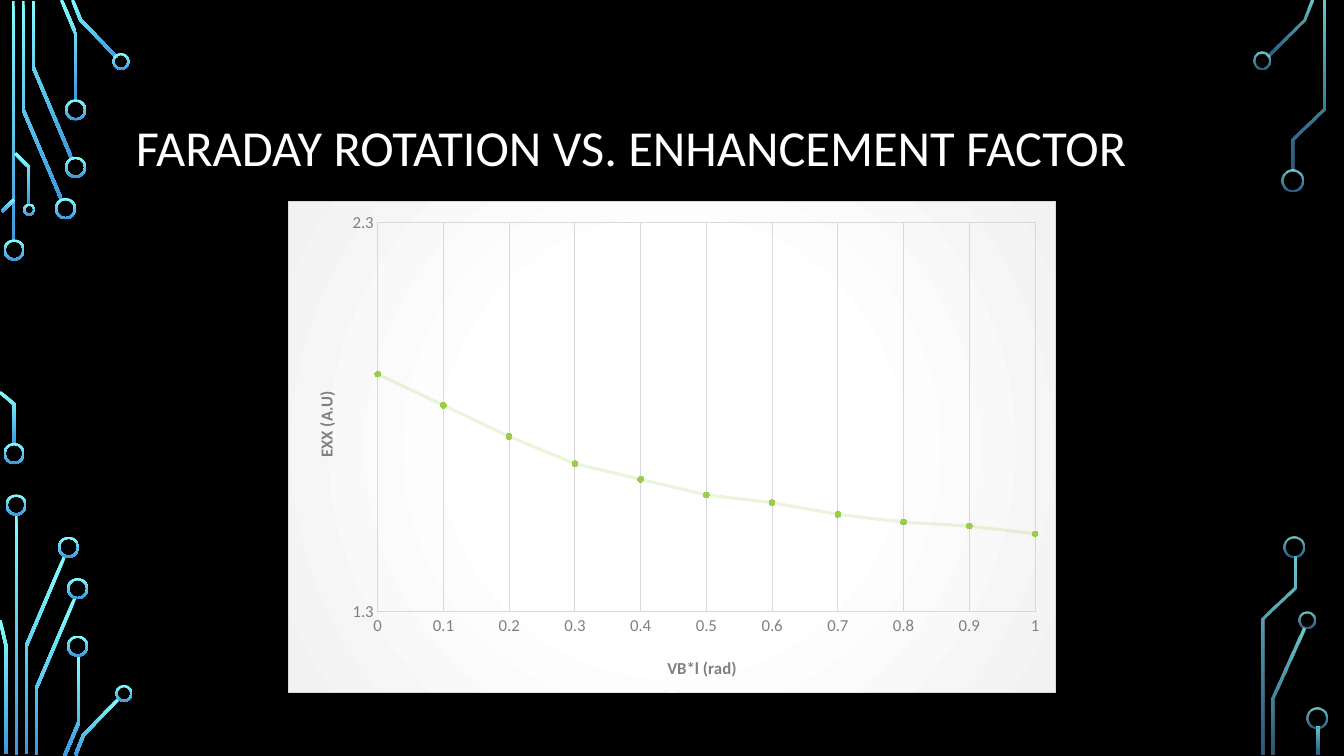
import math

import pptx
import pptx.chart.data
import pptx.dml.color
import pptx.enum.chart
import pptx.enum.shapes
import pptx.enum.text
import pptx.oxml
import pptx.oxml.ns
import pptx.util

SLIDE_W, SLIDE_H = 13.33, 7.5
FONT = "Calibri"
COLORS = {
    "background": "000000", "title": "FFFFFF", "axis": "808080", "grid": "D9D9D9",
    "curve": "9ACD4C", "panel": "FFFFFF", "panel_edge": "F2F2F2",
    "glow_top": "82FFFF", "glow_bottom": "3D97DE",
}
TITLE = "FARADAY ROTATION VS. ENHANCEMENT FACTOR"
TITLE_BOX = (1.25, 0.68, 10.83, 1.62)
CHART_BOX = (2.86, 1.99, 7.61, 4.89)
X_TITLE, Y_TITLE = "VB*l (rad)", "EXX (A.U)"
ENHANCEMENT = [1.91, 1.83, 1.75, 1.68, 1.64, 1.6, 1.58, 1.55, 1.53, 1.52, 1.5]
ROTATION_STEP = 0.1

# Circuit traces are centre lines; pads are (centre x, centre y, diameter).
TRACE_WIDTH, PAD_RIM = 0.03, 0.02
LEFT_TRACES = [
    [(0.13, 0.01), (0.13, 2.4)],
    [(0.23, 0.01), (0.23, 1.09), (0.61, 1.98)],
    [(0.33, 0.01), (0.33, 0.67), (0.71, 1.57)],
    [(0.61, 0), (0.75, 0.33), (0.75, 1)],
    [(0.72, 0), (0.8, 0.2), (1.16, 0.57)],
    [(0.02, 2.1), (0.14, 1.98)],
    [(0, 3.89), (0.14, 4.01), (0.14, 4.41)],
    [(0.15, 1.52), (0.29, 1.66), (0.29, 2.03)],
    [(0.16, 5.1), (0.16, 7.49)],
    [(0.26, 7.48), (0.26, 6.41), (0.64, 5.52)],
    [(0, 6.15), (0.06, 6.41), (0.06, 7.48)],
    [(0.36, 7.49), (0.36, 6.83), (0.74, 5.94)],
    [(0.64, 7.5), (0.78, 7.17), (0.78, 6.5)],
    [(0.75, 7.49), (0.83, 7.29), (1.18, 6.93)],
]
LEFT_PADS = [
    (0.14, 2.48, 0.21), (0.14, 4.5, 0.21), (0.65, 2.07, 0.21), (0.75, 1.66, 0.21),
    (0.75, 1.09, 0.21), (1.2, 0.61, 0.17), (0.29, 2.08, 0.12), (0.16, 5.01, 0.21),
    (0.68, 5.43, 0.21), (0.77, 5.84, 0.21), (0.77, 6.41, 0.21), (1.23, 6.88, 0.17),
]
RIGHT_TRACES = [
    [(12.57, 0.56), (12.93, 0.2), (13.01, 0)],
    [(12.63, 7.49), (12.63, 6.93), (12.93, 6.23)],
    [(12.82, 1.69), (12.82, 1.38), (13.13, 1.08), (13.13, 0.01)],
    [(12.53, 7.49), (12.53, 6.14), (12.84, 5.83), (12.84, 5.52)],
    [(13.07, 7.21), (13.07, 7.49)],
]
RIGHT_PADS = [(12.52, 0.6, 0.17), (12.82, 1.79, 0.21), (12.96, 6.15, 0.17),
              (12.83, 5.43, 0.21), (13.06, 7.12, 0.21)]
CIRCUITS = [(LEFT_TRACES, LEFT_PADS, (100, 100)), (RIGHT_TRACES, RIGHT_PADS, (80, 60))]

Pt = pptx.util.Pt
qn = pptx.oxml.ns.qn
NS = pptx.oxml.ns.nsdecls("a", "c")


def rgb(name):
    return pptx.dml.color.RGBColor.from_string(COLORS[name])


def inches(*lengths):
    return [pptx.util.Inches(length) for length in lengths]


def set_opacity(color_element, percent):
    color_element.append(pptx.oxml.parse_xml(f'<a:alpha {NS} val="{percent * 1000}"/>'))


def style_font(font, color, size, bold=False):
    font.name, font.size, font.bold = FONT, Pt(size), bold
    font.color.rgb = rgb(color)


def glow(shape, opacities):
    """Fill from light at the top to blue at the bottom, without outline."""
    shape.shadow.inherit = False
    shape.line.fill.background()
    shape.fill.gradient()
    shape.fill.gradient_angle = 270
    for stop, name, opacity in zip(shape.fill.gradient_stops, ("glow_top", "glow_bottom"), opacities):
        stop.color.rgb = rgb(name)
    for color, opacity in zip(shape.element.spPr.iter(qn("a:srgbClr")), opacities):
        if opacity < 100:
            set_opacity(color, opacity)


def trace_side(points, offset):
    """Shift a centre line sideways, with mitred corners."""
    headings = [math.atan2(y2 - y1, x2 - x1) for (x1, y1), (x2, y2) in zip(points, points[1:])]
    side = []
    for (x, y), before, after in zip(points, headings[:1] + headings, headings + headings[-1:]):
        middle = (before + after) / 2
        reach = offset / math.cos((after - before) / 2)
        side.append((x - reach * math.sin(middle), y + reach * math.cos(middle)))
    return side


def add_trace(shapes, points):
    half = TRACE_WIDTH / 2
    outline = trace_side(points, half) + trace_side(points, -half)[::-1]
    corners = [(x * 1000, y * 1000) for x, y in outline]
    builder = shapes.build_freeform(*corners[0], scale=pptx.util.Inches(1) / 1000)
    builder.add_line_segments(corners[1:], close=True)
    return builder.convert_to_shape()


def add_pad(shapes, x, y, size):
    pad = shapes.add_shape(pptx.enum.shapes.MSO_SHAPE.DONUT,
                           *inches(x - size / 2, y - size / 2, size, size))
    pad.adjustments[0] = PAD_RIM / size
    return pad


def manual_layout(x, y, size=None):
    """Place a chart part by shares of the chart's size."""
    modes = '<c:xMode val="edge"/><c:yMode val="edge"/>'
    extent = f'<c:w val="{size[0]}"/><c:h val="{size[1]}"/>' if size else ""
    target = '<c:layoutTarget val="inner"/>' if size else ""
    return pptx.oxml.parse_xml(
        f'<c:layout {NS}><c:manualLayout>{target}{modes}'
        f'<c:x val="{x}"/><c:y val="{y}"/>{extent}</c:manualLayout></c:layout>')


def style_axis(axis, title, limits, step, title_at):
    axis.minimum_scale, axis.maximum_scale = limits
    axis.major_unit = step
    axis.major_tick_mark = axis.minor_tick_mark = pptx.enum.chart.XL_TICK_MARK.NONE
    axis.format.line.fill.background()
    axis.has_major_gridlines = True
    grid = axis.major_gridlines.format.line
    grid.color.rgb, grid.width = rgb("grid"), Pt(0.75)
    style_font(axis.tick_labels.font, "axis", 12)
    axis.tick_labels.number_format = "General"
    axis.tick_labels.number_format_is_linked = False
    run = axis.axis_title.text_frame.paragraphs[0].add_run()
    run.text = title
    style_font(run.font, "axis", 12, bold=True)
    heading = axis.axis_title._element
    for layout in heading.findall(qn("c:layout")):
        heading.remove(layout)
    heading.find(qn("c:tx")).addnext(manual_layout(*title_at))


def add_rotation_chart(shapes):
    kinds = pptx.enum.chart
    data = pptx.chart.data.XyChartData()
    points = data.add_series("Series 1")
    for i, value in enumerate(ENHANCEMENT):
        points.add_data_point(round(i * ROTATION_STEP, 1), value)
    chart = shapes.add_chart(kinds.XL_CHART_TYPE.XY_SCATTER_SMOOTH, *inches(*CHART_BOX), data).chart
    chart.has_legend = chart.has_title = False
    style_font(chart.font, "axis", 10)
    chart.plots[0].vary_by_categories = False
    style_axis(chart.category_axis, X_TITLE, (0, 1), ROTATION_STEP, (0.49, 0.92))
    style_axis(chart.value_axis, Y_TITLE, (1.3, 2.3), 1, (0.03, 0.38))
    chart.value_axis.axis_title.text_frame._txBody.bodyPr.set("rot", "-5400000")

    curve = chart.plots[0].series[0]
    curve.smooth = True
    curve.format.line.color.rgb, curve.format.line.width = rgb("curve"), Pt(2.25)
    set_opacity(next(curve.format.line._ln.iter(qn("a:srgbClr"))), 20)
    curve.marker.style, curve.marker.size = kinds.XL_MARKER_STYLE.CIRCLE, 4
    curve.marker.format.fill.solid()
    curve.marker.format.fill.fore_color.rgb = rgb("curve")
    curve.marker.format.line.color.rgb = rgb("curve")

    body = chart._chartSpace.find(qn("c:chart"))
    plot = body.find(qn("c:plotArea"))
    for layout in plot.findall(qn("c:layout")):
        plot.remove(layout)
    plot.insert(0, manual_layout(0.116, 0.043, (0.858, 0.792)))
    body.addnext(pptx.oxml.parse_xml(
        f'<c:spPr {NS}><a:gradFill><a:gsLst>'
        f'<a:gs pos="43000"><a:srgbClr val="{COLORS["panel"]}"/></a:gs>'
        f'<a:gs pos="100000"><a:srgbClr val="{COLORS["panel_edge"]}"/></a:gs></a:gsLst>'
        '<a:path path="circle"><a:fillToRect l="50000" t="50000" r="50000" b="50000"/></a:path>'
        f'</a:gradFill><a:ln w="{Pt(0.75)}"><a:solidFill><a:srgbClr val="{COLORS["grid"]}"/>'
        '</a:solidFill></a:ln></c:spPr>'))


def add_title(shapes):
    frame = shapes.add_textbox(*inches(*TITLE_BOX)).text_frame
    frame.word_wrap = True
    frame.vertical_anchor = pptx.enum.text.MSO_ANCHOR.MIDDLE
    frame.paragraphs[0].line_spacing = 0.9
    run = frame.paragraphs[0].add_run()
    run.text = TITLE
    style_font(run.font, "title", 36)


def main():
    deck = pptx.Presentation()
    deck.slide_width, deck.slide_height = inches(SLIDE_W, SLIDE_H)
    slide = deck.slides.add_slide(deck.slide_layouts[6])
    slide.background.fill.solid()
    slide.background.fill.fore_color.rgb = rgb("background")
    for traces, pads, opacities in CIRCUITS:
        for points in traces:
            glow(add_trace(slide.shapes, points), opacities)
        for pad in pads:
            glow(add_pad(slide.shapes, *pad), opacities)
    add_title(slide.shapes)
    add_rotation_chart(slide.shapes)
    deck.save("out.pptx")


if __name__ == "__main__":
    main()
